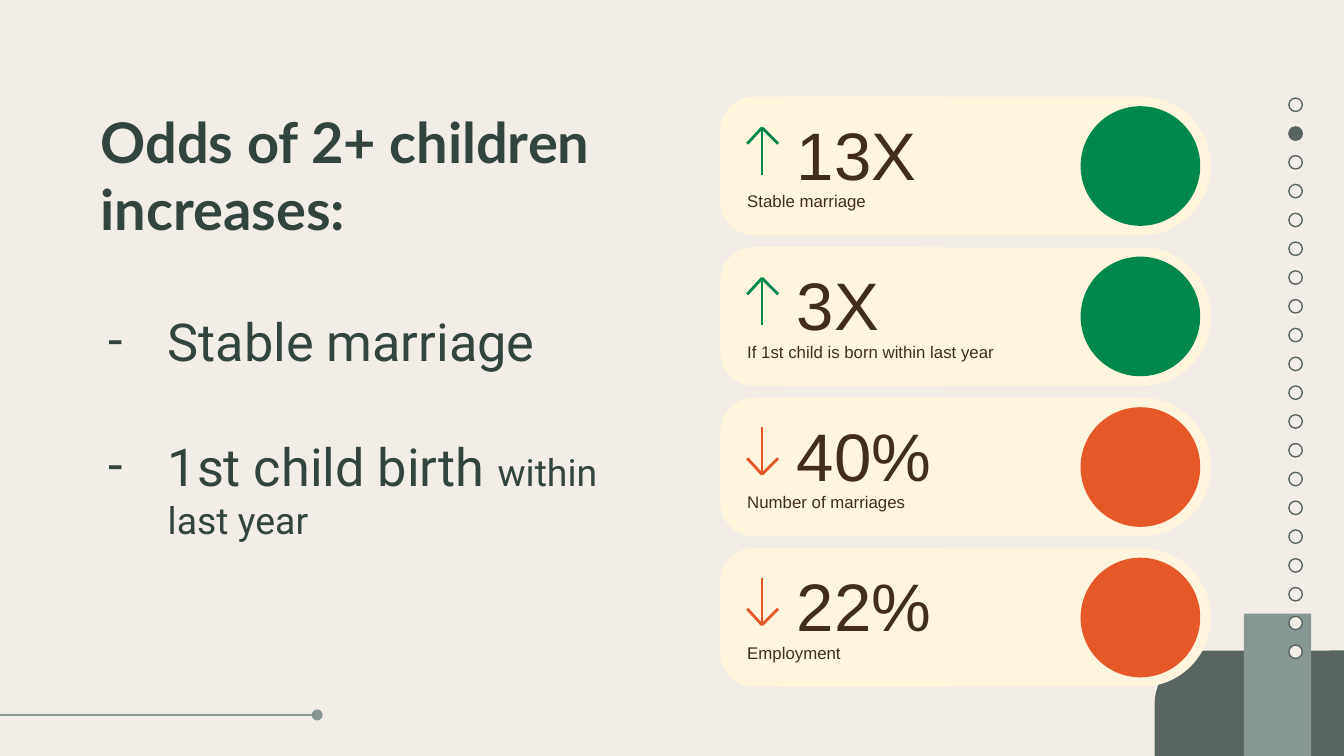
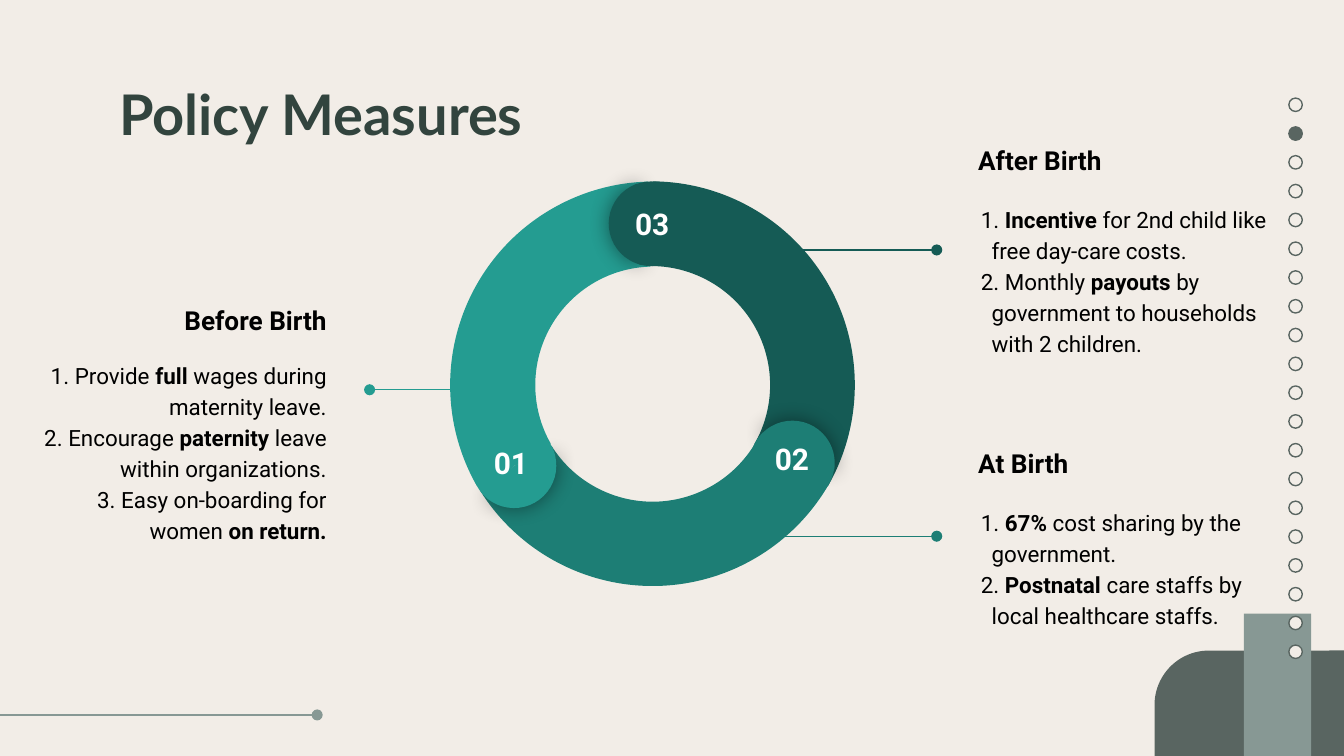
from dataclasses import dataclass

from lxml.etree import SubElement
from pptx import Presentation
from pptx.dml.color import RGBColor
from pptx.enum.shapes import MSO_CONNECTOR, MSO_SHAPE as Preset
from pptx.enum.text import MSO_ANCHOR as Anchor, PP_ALIGN as Align
from pptx.oxml.ns import qn
from pptx.util import Inches, Pt


@dataclass(frozen=True)
class Theme:
    paper: str = "F2EDE7"
    slate: str = "596561"
    sage: str = "879894"
    heading: str = "32443E"
    card: str = "FFF5DD"
    brown: str = "422C1A"
    rise: str = "00884C"
    fall: str = "E65827"
    before: str = "249C91"
    at: str = "1D7E75"
    after: str = "155B55"
    black: str = "000000"
    white: str = "FFFFFF"
    title_font: str = "Lato"
    body_font: str = "Roboto"
    card_font: str = "Arial"
    title: int = 30
    point: int = 28
    detail: int = 20
    figure: int = 36
    caption: int = 9
    measure: int = 14
    item: int = 12
    number: int = 16


THEME = Theme()


@dataclass(frozen=True)
class Run:
    text: str
    size: int
    color: str
    font: str = THEME.body_font
    bold: bool = False


@dataclass(frozen=True)
class Segment:
    number: str
    color: str
    arc_at: tuple
    arc_end: float
    thickness: float
    cap_at: tuple
    cap_turn: int
    number_at: tuple


class Deck:
    def __init__(self, theme):
        self.theme = theme
        self.deck = Presentation()
        self.deck.slide_width, self.deck.slide_height = Inches(10), Inches(5.625)
        self.slide = None

    def new_slide(self):
        self.slide = self.deck.slides.add_slide(self.deck.slide_layouts[6])
        backdrop = self.slide.background.fill
        backdrop.solid()
        backdrop.fore_color.rgb = RGBColor.from_string(self.theme.paper)
        self.decorate()

    def decorate(self):
        t = self.theme
        self.shape(Preset.ROUND_1_RECTANGLE, (8.89, 4.54, 0.81, 1.41), t.slate, (0.5,), 270)
        self.shape(Preset.RECTANGLE, (8.96, 4.86, 1.09, 0.5), t.sage, turn=90)
        self.line((-0.01, 5.32), (2.36, 5.32), t.sage, 1.5, dot=True)
        dots, first, last, current = 20, 0.73, 4.8, 1
        for i in range(dots):
            top = first + i * (last - first) / (dots - 1)
            dot = self.shape(Preset.OVAL, (9.59, top, 0.1, 0.1),
                             t.slate if i == current else t.paper)
            dot.line.color.rgb = RGBColor.from_string(t.slate)
            dot.line.width = Pt(0.75)

    def shape(self, preset, box, fill, adjustments=(), turn=0, shadow=False):
        shape = self.slide.shapes.add_shape(preset, *map(Inches, box))
        shape.fill.solid()
        shape.fill.fore_color.rgb = RGBColor.from_string(fill)
        shape.line.fill.background()
        shape.shadow.inherit = False
        shape.rotation = turn
        for i, value in enumerate(adjustments):
            shape.adjustments[i] = value
        if shadow:
            effects = shape._element.spPr.find(qn("a:effectLst"))
            outer = SubElement(effects, qn("a:outerShdw"), blurRad=str(Pt(11.2)),
                               dist="0", dir="0", algn="ctr", rotWithShape="0")
            tint = SubElement(outer, qn("a:srgbClr"), val=self.theme.black)
            SubElement(tint, qn("a:alpha"), val="43000")
        return shape

    def line(self, start, end, color, width, dot=False):
        line = self.slide.shapes.add_connector(
            MSO_CONNECTOR.STRAIGHT, *map(Inches, (*start, *end)))
        line.line.color.rgb = RGBColor.from_string(color)
        line.line.width = Pt(width)
        if dot:
            SubElement(line.line._get_or_add_ln(), qn("a:tailEnd"), type="oval")
        SubElement(line._element.spPr, qn("a:effectLst"))

    def text(self, box, inset=0.1, anchor=Anchor.TOP):
        frame = self.slide.shapes.add_textbox(*map(Inches, box)).text_frame
        frame.word_wrap = True
        frame.vertical_anchor = anchor
        frame.margin_left = frame.margin_right = Inches(inset)
        frame.margin_top = frame.margin_bottom = Inches(inset)
        return frame

    def paragraph(self, frame, runs, align=Align.LEFT, gap=0, spacing=None,
                  bullet=None, indent=(0, 0)):
        first = frame.paragraphs[0]
        paragraph = first if not first.runs else frame.add_paragraph()
        paragraph.alignment = align
        if bullet:
            tag, attributes = bullet
            props = paragraph._p.get_or_add_pPr()
            props.set("marL", str(Inches(indent[0])))
            props.set("indent", str(Inches(indent[1])))
            SubElement(SubElement(props, qn("a:buClr")), qn("a:srgbClr"), val=runs[0].color)
            SubElement(props, qn("a:buFont"), typeface=runs[0].font)
            SubElement(props, qn(tag), **attributes)
        if gap:
            paragraph.space_before = Pt(gap)
        if spacing:
            paragraph.line_spacing = spacing
        for part in runs:
            run = paragraph.add_run()
            run.text = part.text
            run.font.name = part.font
            run.font.size = Pt(part.size)
            run.font.bold = part.bold
            run.font.color.rgb = RGBColor.from_string(part.color)

    def title(self, box, text):
        t = self.theme
        frame = self.text(box)
        self.paragraph(frame, [Run(text, t.title, t.heading, t.title_font, True)])
        return frame

    def odds_card(self, top, figure, caption, rising):
        t = self.theme
        color = t.rise if rising else t.fall
        self.shape(Preset.ROUNDED_RECTANGLE, (5.36, top, 1.89, 1.03), t.card, (0.24,))
        self.shape(Preset.ROUNDED_RECTANGLE, (5.36, top, 3.65, 1.03), t.card, (0.5,))
        self.shape(Preset.OVAL, (8.04, top + 0.07, 0.89, 0.89), color)
        for box, text, size in (
            ((5.91, top + 0.1, 1.34, 0.58), figure, t.figure),
            ((5.54, top + 0.68, 2.2, 0.19), caption, t.caption),
        ):
            self.paragraph(self.text(box, 0.02), [Run(text, size, t.brown, t.card_font)])
        tip, wing, base = (0.23, 0.35, 0.58) if rising else (0.57, 0.45, 0.22)
        for x, y in ((5.56, wing), (5.79, wing), (5.67, base)):
            self.line((x, top + y), (5.67, top + tip), color, 1.5)

    def measures(self, box, heading, items, gap, align=Align.LEFT):
        t = self.theme
        frame = self.text(box, anchor=Anchor.MIDDLE)
        self.paragraph(frame, [Run(heading, t.measure, t.black, bold=True)], align)
        for i, item in enumerate(items):
            runs = [Run(text, t.item, t.black, bold=n % 2 == 1) for n, text in enumerate(item)]
            self.paragraph(frame, runs, align, 0 if i else gap, 1.15,
                           ("a:buAutoNum", {"type": "arabicPeriod"}), (0.1, -0.08))

    def ring(self, segments):
        t = self.theme
        for s in segments:
            self.shape(Preset.BLOCK_ARC, (*s.arc_at, 3.03, 3.03), s.color,
                       (126.23, s.arc_end, s.thickness), (s.cap_turn + 60) % 360)
        for s in segments:
            cap = (*s.cap_at, 0.63, 0.63)
            self.shape(Preset.PIE, cap, s.color, (61.9, 149.96), s.cap_turn + 0.7, shadow=True)
            self.shape(Preset.PIE, cap, s.color, (40.28, 171.84), (s.cap_turn + 180) % 360)
        for s in segments:
            self.paragraph(self.text((*s.number_at, 0.56, 0.29)),
                           [Run(s.number + " ", t.number, t.white, bold=True)], Align.CENTER)


def odds_slide(deck):
    t = deck.theme
    deck.new_slide()
    frame = deck.title((0.65, 0.7, 4.1, 4.23), "Odds of 2+ children increases:")
    points = (
        (36, [Run("Stable marriage", t.point, t.heading)]),
        (33.5, [Run("1st child birth ", t.point, t.heading),
                Run("within last year", t.detail, t.heading)]),
    )
    for gap, runs in points:
        deck.paragraph(frame, runs, gap=gap, bullet=("a:buChar", {"char": "-"}),
                       indent=(0.5, -0.44))
    cards = (
        ("13X", "Stable marriage", True),
        ("3X", "If 1st child is born within last year", True),
        ("40%", "Number of marriages", False),
        ("22%", "Employment", False),
    )
    for i, card in enumerate(cards):
        deck.odds_card(0.72 + 1.12 * i, *card)


def policy_slide(deck):
    t = deck.theme
    deck.new_slide()
    deck.title((0.79, 0.49, 8.43, 0.63), "Policy Measures")
    deck.measures((0.21, 2.17, 2.32, 1.97), "Before Birth", (
        (" Provide ", "full", " wages during maternity leave."),
        (" Encourage ", "paternity", " leave within organizations."),
        (" Easy on-boarding for women ", "on return."),
    ), 12, Align.RIGHT)
    deck.measures((7.18, 1.16, 2.5, 1.41), "After Birth", (
        (" ", "Incentive", " for 2nd child like free day-care costs."),
        (" Monthly", " payouts", " by government to households with 2 children."),
    ), 14)
    deck.measures((7.18, 3.3, 2.32, 1.41), "At Birth", (
        (" ", "67%", " cost sharing by the government."),
        (" ", "Postnatal", " care staffs by local healthcare staffs."),
    ), 14)
    for start, end, y, color in ((3.44, 2.75, 2.9, t.before),
                                 (5.56, 6.97, 1.86, t.after),
                                 (5.56, 6.97, 3.99, t.at)):
        deck.line((start, y), (end, y), color, 0.75, dot=True)
    deck.ring((
        Segment("03", t.after, (3.33, 1.35), 197.82, 0.208, (4.53, 1.35), 0, (4.6, 1.43)),
        Segment("02", t.at, (3.34, 1.33), 196.63, 0.207, (5.58, 3.13), 120, (5.64, 3.18)),
        Segment("01", t.before, (3.35, 1.35), 197.03, 0.209, (3.51, 3.15), 240, (3.55, 3.21)),
    ))


def main():
    deck = Deck(THEME)
    odds_slide(deck)
    policy_slide(deck)
    deck.deck.save("out.pptx")


if __name__ == "__main__":
    main()
